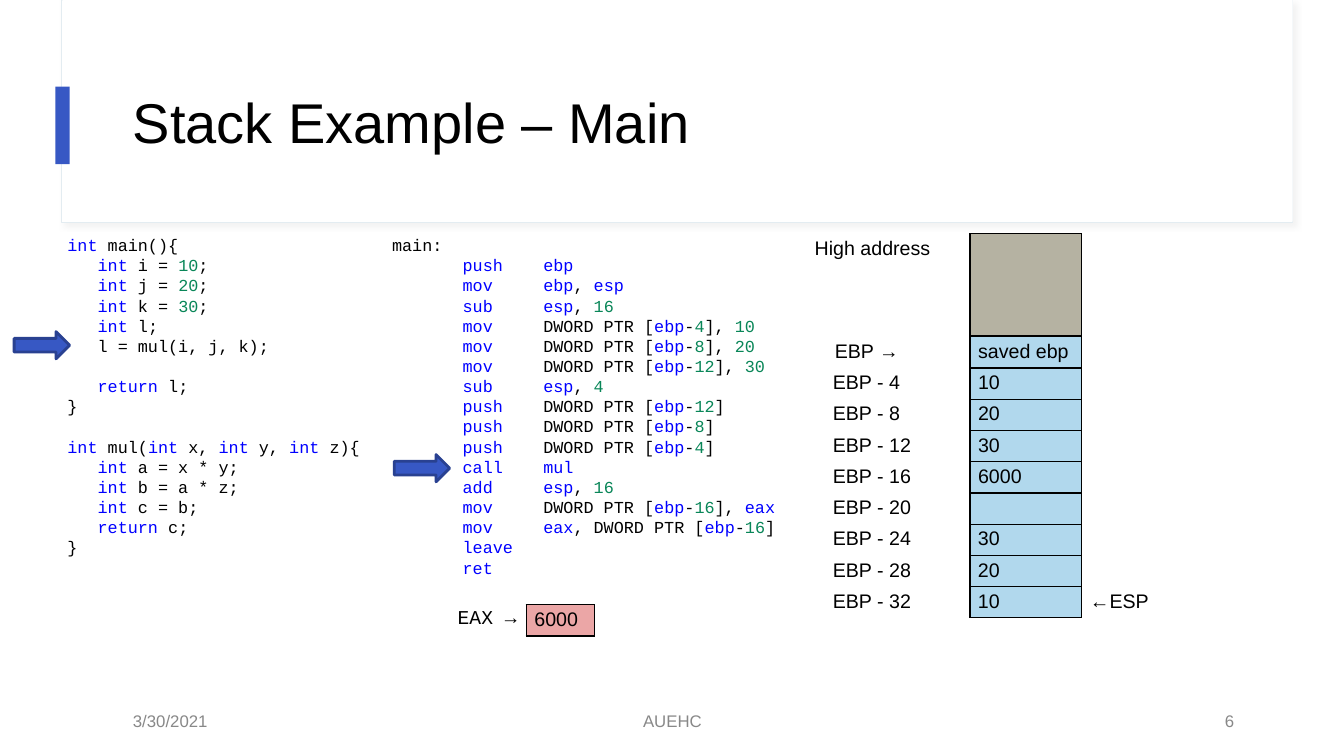
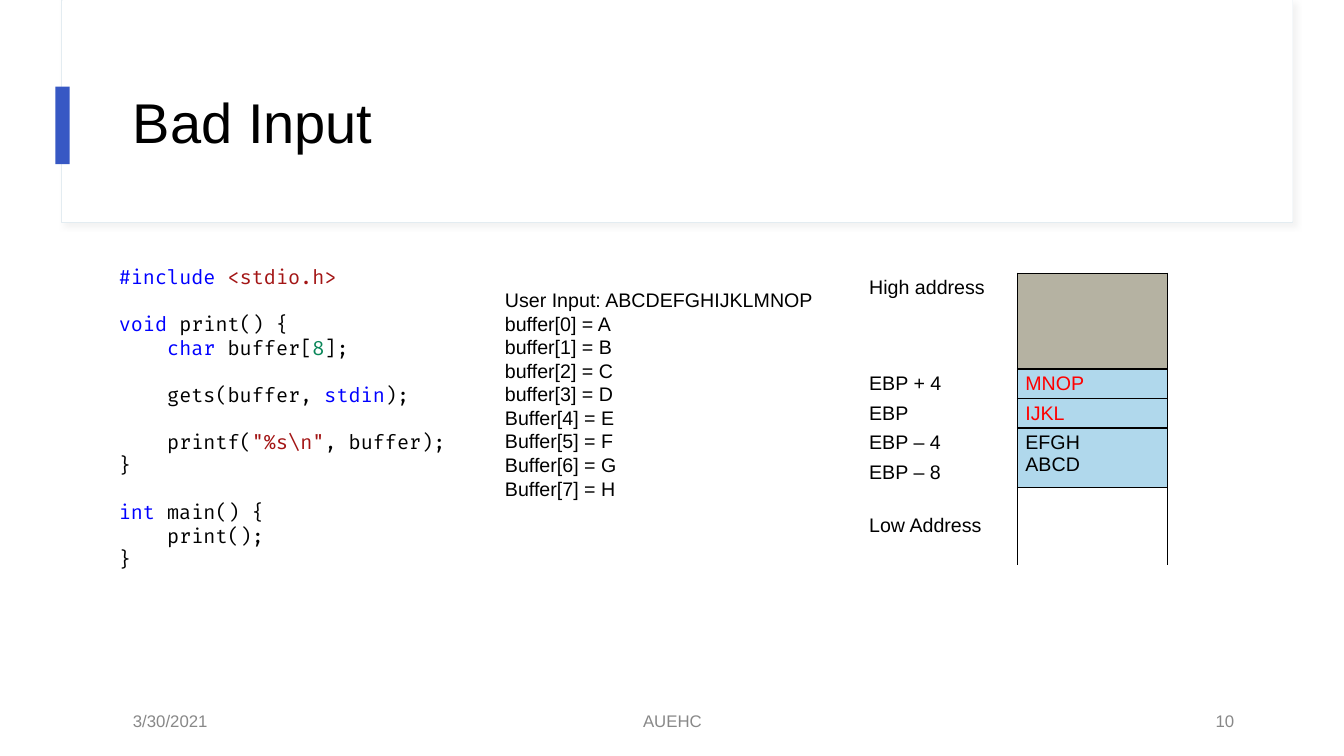
from dataclasses import dataclass
from itertools import groupby
from typing import Any

import pptx
import pptx.dml.color
import pptx.enum.shapes
import pptx.enum.text
import pptx.oxml
import pptx.oxml.ns
import pptx.util

PX = 9144  # EMU per px, 100 px to the inch
ALIGN = pptx.enum.text.PP_ALIGN
ANCHOR = pptx.enum.text.MSO_ANCHOR
SHAPE = pptx.enum.shapes.MSO_SHAPE
NO_GRID = "{2D5ABB26-0587-4C30-8999-92F81FD0307C}"


@dataclass(frozen=True)
class Theme:
    white: str = "FFFFFF"
    ink: str = "000000"
    muted: str = "888888"
    accent: str = "3758C4"
    accent_edge: str = "294191"
    card_edge: str = "E3ECF1"
    shadow: str = "D8D8D8"
    keyword: str = "0000FF"
    number: str = "098658"
    literal: str = "A31515"
    overflow: str = "FF0000"
    used: str = "B5B2A2"
    stack: str = "B1D8ED"
    buffer: str = "B0D8EC"
    register: str = "EBA6A6"
    sans: str = "Arial"
    mono: str = "Courier New"
    code: str = "Fira Code"
    title_size: int = 40
    body_size: int = 14
    small_size: int = 12
    leading: float = 1.2


T = Theme()


@dataclass(frozen=True)
class Box:
    x: int
    y: int
    w: int
    h: int

    def emu(self) -> tuple[int, ...]:
        return tuple(v * PX for v in (self.x, self.y, self.w, self.h))


@dataclass(frozen=True)
class Code:
    box: Box
    source: str
    colors: dict[str, str]
    font: str
    size: int
    indent: int
    operand: int = 0  # distance from opcode to operand
    char: int = 10


@dataclass(frozen=True)
class Cell:
    text: str = ""
    fill: str = ""
    color: str = T.ink
    edges: str = ""
    top: int = 4
    font: str = T.sans


@dataclass(frozen=True)
class Row:
    h: int
    cells: tuple[Cell, ...]


# Formatting helpers
def rgb(color: str) -> pptx.dml.color.RGBColor:
    return pptx.dml.color.RGBColor.from_string(color)


def apply(obj: Any, values: dict[str, Any]) -> None:
    for name, value in values.items():
        setattr(obj, name, value)


def set_font(r: Any, size: int, color: str, font: str = T.sans) -> None:
    apply(r.font, {"size": pptx.util.Pt(size), "name": font})
    r.font.color.rgb = rgb(color)


def add_text(s: Any, box: Box, **frame: Any) -> Any:
    tf = s.shapes.add_textbox(*box.emu()).text_frame
    apply(tf, {"word_wrap": True, **frame})
    return tf


def add_label(s: Any, box: Box, text: str, size: int, color: str, **para: Any) -> None:
    p = add_text(s, box, vertical_anchor=ANCHOR.MIDDLE).paragraphs[0]
    apply(p, para)
    r = p.add_run()
    r.text = text
    set_font(r, size, color)


def add_block(s: Any, kind: Any, box: Box, fill: str, line: str = "", width: float = 1) -> Any:
    sp = s.shapes.add_shape(kind, *box.emu())
    sp.shadow.inherit = False
    sp.fill.solid()
    sp.fill.fore_color.rgb = rgb(fill)
    if line:
        sp.line.color.rgb = rgb(line)
        sp.line.width = pptx.util.Pt(width)
    else:
        sp.line.fill.background()
    return sp


def add_soft_shadow(sp: Any) -> None:
    effects = sp._element.spPr.find(pptx.oxml.ns.qn("a:effectLst"))
    effects.append(pptx.oxml.parse_xml(
        f'<a:outerShdw {pptx.oxml.ns.nsdecls("a")} blurRad="50800" dist="38100" dir="2700000" '
        f'algn="tl" rotWithShape="0"><a:srgbClr val="{T.shadow}"><a:alpha val="30000"/>'
        "</a:srgbClr></a:outerShdw>"))


# Title card and footer shared by the slides
def add_slide(prs: Any, title: str, number: str) -> Any:
    s = prs.slides.add_slide(prs.slide_layouts[6])
    card = add_block(s, SHAPE.RECTANGLE, Box(61, 0, 1221, 221), T.white, T.card_edge, 0.75)
    add_soft_shadow(card)
    add_block(s, SHAPE.RECTANGLE, Box(62, 0, 1220, 220), T.white)
    add_block(s, SHAPE.RECTANGLE, Box(55, 86, 14, 77), T.accent)
    add_label(s, Box(122, 60, 1112, 129), title, T.title_size, T.ink, line_spacing=0.9)
    footers = (
        (122, 300, "3/30/2021", ALIGN.LEFT),
        (442, 450, "AUEHC", ALIGN.CENTER),
        (934, 300, number, ALIGN.RIGHT),
    )
    for x, w, text, align in footers:
        add_label(s, Box(x, 695, w, 40), text, T.small_size, T.muted, alignment=align)
    return s


# Code listings
def tokens(text: str, literals: list[str]) -> list[str]:
    for literal in literals:
        if literal in text:
            before, _, after = text.partition(literal)
            return [*tokens(before, literals), literal, *tokens(after, literals)]
    return ["".join(g) for _, g in groupby(text, key=str.isalnum)]


def add_code(s: Any, code: Code) -> None:
    tf = add_text(s, code.box)
    pitch = pptx.util.Pt(code.size * T.leading)
    literals = [word for word in code.colors if not word.isalnum()]
    first, gap = True, False
    for line in code.source.strip().splitlines():
        text = line.strip()
        if not text:
            gap = True
            continue
        p = tf.paragraphs[0] if first else tf.add_paragraph()
        apply(p, {"line_spacing": pitch, "space_before": pitch if gap else 0})
        first, gap = False, False
        level = (len(line) - len(line.lstrip())) // 4
        apply_indent = p._p.get_or_add_pPr().set
        apply_indent("marL", str(level * code.indent * PX))
        apply_indent("indent", "0")
        for i, token in enumerate(tokens(text, literals)):
            r = p.add_run()
            r.text = token
            plain = T.number if token.isdigit() else T.ink
            set_font(r, code.size, code.colors.get(token, plain), code.font)
            if code.operand and level and i == 1:
                # Widen the one space so that the operands line up
                extra = code.operand - code.char * (len(text.split()[0]) + 1)
                r._r.get_or_add_rPr().set("spc", str(extra * 72))


# Memory tables
def add_edges(cell: Any, edges: str) -> None:
    tcPr = cell._tc.get_or_add_tcPr()
    for i, edge in enumerate(edges):
        tcPr.insert(i, pptx.oxml.parse_xml(
            f'<a:ln{edge} {pptx.oxml.ns.nsdecls("a")} w="12700"><a:solidFill>'
            f'<a:srgbClr val="{T.ink}"/></a:solidFill></a:ln{edge}>'))


def fill_cell(cell: Any, c: Cell) -> None:
    apply(cell, {"margin_left": 8 * PX, "margin_right": 8 * PX,
                 "margin_top": c.top * PX, "margin_bottom": 2 * PX})
    p = cell.text_frame.paragraphs[0]
    p.text = c.text
    p._p.get_or_add_endParaRPr().set("sz", str(T.body_size * 100))
    for r in p.runs:
        set_font(r, T.body_size, c.color, c.font)
    if c.fill:
        cell.fill.solid()
        cell.fill.fore_color.rgb = rgb(c.fill)
    else:
        cell.fill.background()
    add_edges(cell, c.edges)


def add_grid(s: Any, x: int, y: int, cols: tuple[int, ...], rows: list[Row]) -> Any:
    box = Box(x, y, sum(cols), sum(row.h for row in rows))
    table = s.shapes.add_table(len(rows), len(cols), *box.emu()).table
    apply(table, {"first_row": False, "horz_banding": False})
    table._tbl.tblPr.find(pptx.oxml.ns.qn("a:tableStyleId")).text = NO_GRID
    for j, w in enumerate(cols):
        table.columns[j].width = w * PX
    for i, row in enumerate(rows):
        table.rows[i].height = row.h * PX
        for j, c in enumerate(row.cells):
            fill_cell(table.cell(i, j), c)
    return table


def slot(text: str = "", fill: str = T.stack, color: str = T.ink) -> Cell:
    return Cell(text, fill, color, "LRTB")


MAIN_C = """
int main(){
    int i = 10;
    int j = 20;
    int k = 30;
    int l;
    l = mul(i, j, k);

    return l;
}

int mul(int x, int y, int z){
    int a = x * y;
    int b = a * z;
    int c = b;
    return c;
}
"""
MAIN_ASM = """
main:
    push ebp
    mov ebp, esp
    sub esp, 16
    mov DWORD PTR [ebp-4], 10
    mov DWORD PTR [ebp-8], 20
    mov DWORD PTR [ebp-12], 30
    sub esp, 4
    push DWORD PTR [ebp-12]
    push DWORD PTR [ebp-8]
    push DWORD PTR [ebp-4]
    call mul
    add esp, 16
    mov DWORD PTR [ebp-16], eax
    mov eax, DWORD PTR [ebp-16]
    leave
    ret
"""
PRINT_C = r"""
#include <stdio.h>

void print() {
    char buffer[8];

    gets(buffer, stdin);

    printf("%s\n", buffer);
}

int main() {
    print();
}
"""
USER_INPUT = "User Input: ABCDEFGHIJKLMNOP\n" + "\n".join(
    f"{'buffer' if i < 4 else 'Buffer'}[{i}] = {letter}" for i, letter in enumerate("ABCDEFGH"))


def stack_slide(prs: Any) -> None:
    s = add_slide(prs, "Stack Example – Main", "6")
    c_words = dict.fromkeys(("int", "return"), T.keyword)
    asm_words = dict.fromkeys("push mov sub call add leave ret ebp esp eax mul".split(), T.keyword)
    add_code(s, Code(Box(57, 228, 350, 333), MAIN_C, c_words, T.mono, T.small_size, 30))
    add_code(s, Code(Box(379, 228, 460, 353), MAIN_ASM, asm_words, T.mono, T.small_size, 70, 80))
    # Stack frame: empty local slots, then the values laid over them
    top, h, label_w, slot_w = 334, 31, 144, 111
    add_grid(s, 800, 232, (162, slot_w), [Row(101, (Cell("High address"), slot(fill=T.used)))])
    add_grid(s, 818, top + h, (label_w, slot_w),
             [Row(h, (Cell(f"EBP - {4 * i}"), slot())) for i in range(1, 5)])
    for i, value in enumerate(("saved ebp", "10", "20", "30", "6000")):
        add_grid(s, 962, top + h * i, (slot_w,), [Row(h, (slot(value),))])
    for i, value in enumerate(("", "30", "20", "10"), 5):
        add_grid(s, 818, top + h * i, (label_w, slot_w),
                 [Row(h, (Cell(f"EBP - {4 * i}"), slot(value)))])
    # Registers
    registers = (
        (820, top, 111, Cell("EBP →")),
        (1073, 582, 94, Cell("←ESP")),
        (446, 599, 76, Cell("EAX →", font=T.mono)),
        (522, 600, 68, slot("6000", T.register)),
    )
    for x, y, w, c in registers:
        add_grid(s, x, y, (w,), [Row(h, (c,))])
    # Current instruction in both listings
    for x, y in ((14, 329), (391, 451)):
        add_block(s, SHAPE.RIGHT_ARROW, Box(x, y, 55, 27), T.accent, T.accent_edge, 2)


def input_slide(prs: Any) -> None:
    s = add_slide(prs, "Bad Input", "10")
    words = dict.fromkeys(("#include", "void", "char", "stdin", "int"), T.keyword)
    words |= dict.fromkeys(("<stdio.h>", r'"%s\n"'), T.literal)
    # Stack with the overwritten slots in red
    stack = (
        (95, Cell("High address"), slot(fill=T.used)),
        (29, Cell("EBP + 4"), slot("MNOP", T.buffer, T.overflow)),
        (29, Cell("EBP"), slot("IJKL", T.buffer, T.overflow)),
        (29, Cell("EBP – 4"), slot("EFGH\vABCD", T.buffer)),
        (29, Cell("EBP – 8"), slot(fill=T.buffer)),
        (77, Cell("Low Address", top=27), Cell(edges="LRT")),
    )
    rows = [Row(h, (label, value, Cell(edges="L"))) for h, label, value in stack]
    table = add_grid(s, 854, 271, (155, 149, 155), rows)
    table.cell(3, 1).merge(table.cell(4, 1))
    add_code(s, Code(Box(108, 258, 578, 364), PRINT_C, words, T.code, T.body_size, 48))
    tf = add_text(s, Box(491, 281, 336, 246))
    tf.text = USER_INPUT
    for p in tf.paragraphs:
        p.line_spacing = pptx.util.Pt(T.body_size * T.leading)
        set_font(p.runs[0], T.body_size, T.ink)


def main() -> None:
    prs = pptx.Presentation()
    apply(prs, {"slide_width": 1333 * PX, "slide_height": 750 * PX})
    stack_slide(prs)
    input_slide(prs)
    prs.save("out.pptx")


if __name__ == "__main__":
    main()
